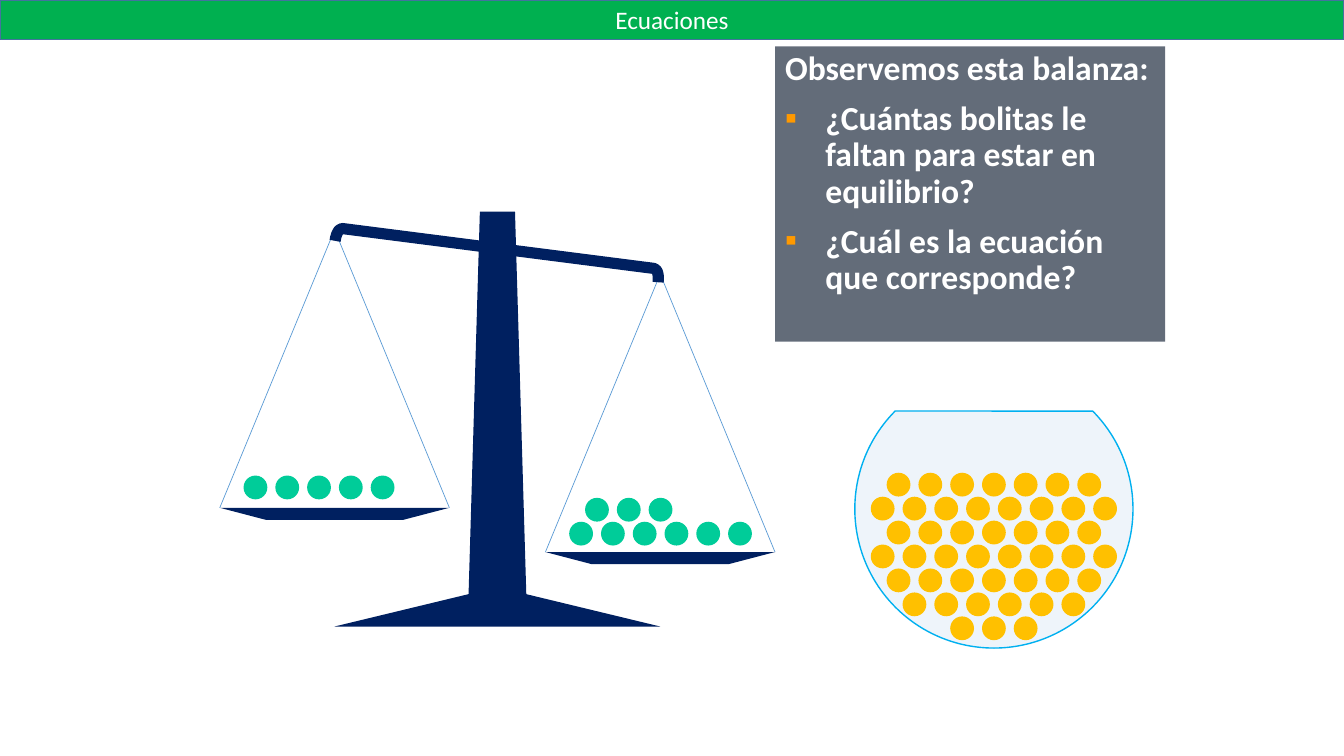
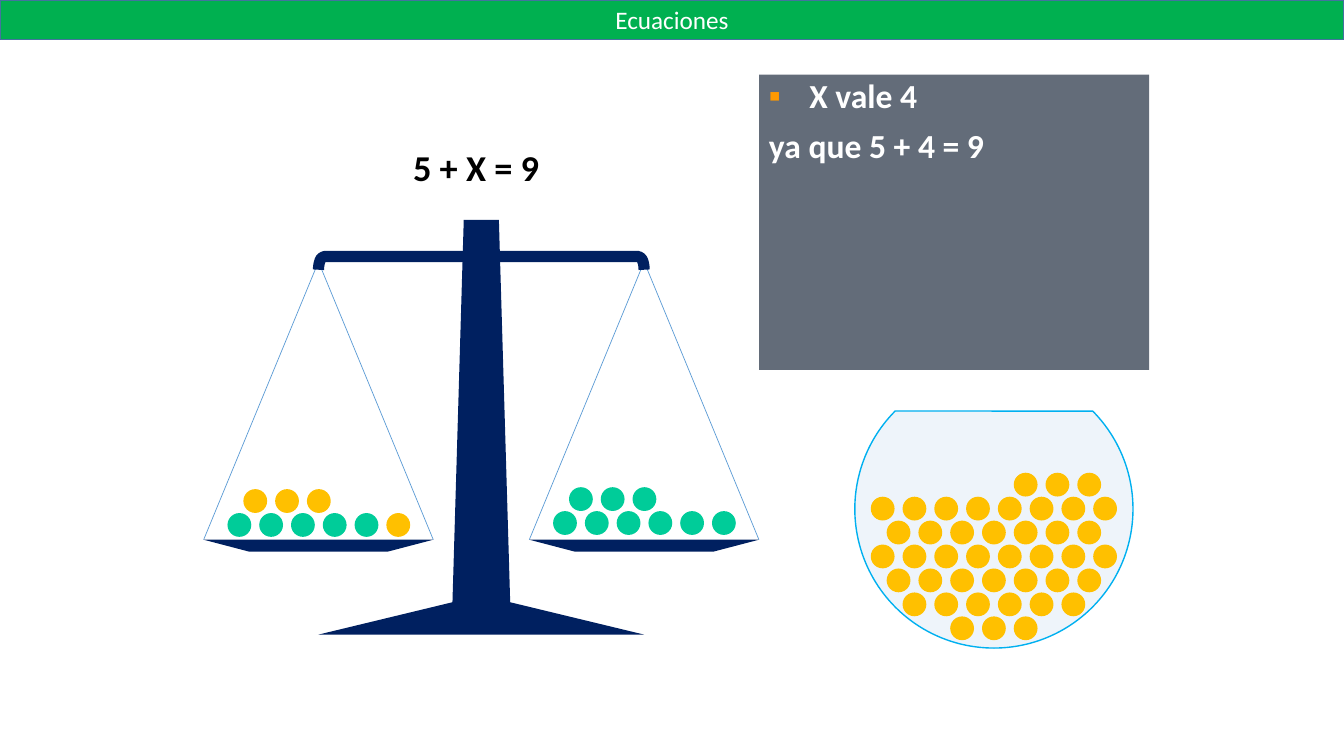
from lxml import etree
from pptx import Presentation
from pptx.dml.color import RGBColor
from pptx.enum.shapes import MSO_CONNECTOR, MSO_SHAPE
from pptx.enum.text import MSO_ANCHOR, PP_ALIGN
from pptx.oxml.ns import qn
from pptx.util import Pt

RECT, OVAL, CHORD = MSO_SHAPE.RECTANGLE, MSO_SHAPE.OVAL, MSO_SHAPE.CHORD
TRAP, PEAK = MSO_SHAPE.FLOWCHART_MANUAL_OPERATION, MSO_SHAPE.ISOSCELES_TRIANGLE
BEAM, LINE = MSO_SHAPE.LEFT_BRACKET, MSO_CONNECTOR.STRAIGHT
LEFT, MID = PP_ALIGN.LEFT, PP_ALIGN.CENTER
TOP, CENTER = MSO_ANCHOR.TOP, MSO_ANCHOR.MIDDLE

WIDE, HIGH = 960, 540
FONT = "Calibri"
WHITE, BLACK = "FFFFFF", "000000"
GREEN, EDGE = "00B050", "43739E"
SLATE, ORANGE = "333F50", "FF9900"
NAVY, BLUE, SKY = "002060", "5B9BD5", "00B0F0"
MINT, GOLD = "00CC99", "FFC000"
BALL, PITCH, STEP = 17, 22.7, 17.1
BOWL_ROWS = (7, 8, 7, 8, 7, 6, 3)


def color(code):
    """Turn a hex string into a colour."""
    return RGBColor.from_string(code)


def shape(shapes, kind, box, fill=None, line=None, width=1, alpha=None, turn=0):
    """Add a preset shape without shadow."""
    item = shapes.add_shape(kind, *[Pt(v) for v in box])
    item.shadow.inherit = False
    item.rotation = turn
    if fill:
        item.fill.solid()
        item.fill.fore_color.rgb = color(fill)
    else:
        item.fill.background()
    if alpha:
        tint = item.element.spPr.find(".//" + qn("a:srgbClr"))
        etree.SubElement(tint, qn("a:alpha")).set("val", str(alpha * 1000))
    if line:
        item.line.color.rgb = color(line)
        item.line.width = Pt(width)
    else:
        item.line.fill.background()
    return item


def cord(shapes, start, end):
    """Add one thin string of a pan."""
    item = shapes.add_connector(LINE, *[Pt(v) for v in (*start, *end)])
    item.line.color.rgb = color(BLUE)
    item.line.width = Pt(0.5)
    etree.SubElement(item.element.spPr, qn("a:effectLst"))


def write(item, lines, size, code, bold=False, align=LEFT, anchor=TOP):
    """Fill a shape with paragraphs of one style."""
    frame = item.text_frame
    frame.text = "\n".join(lines)
    frame.word_wrap = True
    frame.vertical_anchor = anchor
    for para in frame.paragraphs:
        para.alignment = align
        for run in para.runs:
            run.font.name = FONT
            run.font.size = Pt(size)
            run.font.bold = bold
            run.font.color.rgb = color(code)
    return frame.paragraphs


def bullet(para):
    """Give a paragraph an orange square and a hanging indent."""
    props = para._p.get_or_add_pPr()
    props.set("marL", str(Pt(28.8)))
    props.set("indent", str(Pt(-28.8)))
    tint = etree.SubElement(props, qn("a:buClr"))
    etree.SubElement(tint, qn("a:srgbClr")).set("val", ORANGE)
    etree.SubElement(props, qn("a:buFont")).set("typeface", FONT)
    etree.SubElement(props, qn("a:buChar")).set("char", "▪")


def header(slide):
    """Add the green title band."""
    band = shape(slide.shapes, RECT, (0, 0, WIDE, 28.3), GREEN, EDGE)
    write(band, ["Ecuaciones"], 18, WHITE, align=MID, anchor=CENTER)


def panel(slide, x, y, lines, marked):
    """Add the grey text panel; marked holds the bulleted lines."""
    item = shape(slide.shapes, RECT, (x, y, 278.6, 211), SLATE, alpha=76)
    for i, para in enumerate(write(item, lines, 24, WHITE, bold=True)):
        para.line_spacing = 0.9
        para.space_before = Pt(10)
        if i in marked:
            bullet(para)


def balls(shapes, x, y, codes):
    """Add a row of balls, one for each colour."""
    for i, code in enumerate(codes):
        shape(shapes, OVAL, (x + i * PITCH, y, BALL, BALL), code)


def bowl(slide, x, y, size, taken=0):
    """Add the bowl of balls, with some taken from its top row."""
    shapes = slide.shapes.add_group_shape().shapes
    glass = shape(shapes, CHORD, (x, y, size, size), BLUE, SKY, alpha=10, turn=270)
    glass.adjustments[0] = 27.18
    glass.adjustments[1] = 188.88
    for i, count in enumerate(BOWL_ROWS):
        gone = 0 if i else taken
        left = x + (size - BALL - (count - 1) * PITCH) / 2 + gone * PITCH
        balls(shapes, left, y + 73.5 + i * STEP, [GOLD] * (count - gone))


def pan(shapes, x, y, lift, rows):
    """Hang a pan from a point; lift is the top of its lowest ball row."""
    half, drop = 82, 198.5
    base = y + drop
    shape(shapes, TRAP, (x - half, base, 2 * half, 8.6), NAVY)
    for side in (-half, half):
        cord(shapes, (x + side, base), (x, y))
    for i, codes in enumerate(rows):
        balls(shapes, x - half + 17 + i * PITCH / 2, base - lift - i * STEP, codes)


def scale(slide, x, y, loads, tilt=0):
    """Add the balance; each load is a drop, a lift and rows of balls."""
    shapes = slide.shapes.add_group_shape().shapes
    span, thick, post = 232.6, 9.4, 41.8
    mid = x + span / 2
    for i, (drop, lift, rows) in enumerate(loads):
        pan(shapes, x + i * span, y + drop, lift, rows)
    shape(shapes, PEAK, (x, y + 268.2, span, 28.1), NAVY)
    shape(shapes, TRAP, (mid - post / 2, y, post, 283), NAVY, turn=180)
    box = (mid - thick / 2, y + 31 - span / 2, thick, span)
    beam = shape(shapes, BEAM, box, line=NAVY, width=8, turn=90 + tilt)
    beam.adjustments[0] = 0.416


def formula(slide, x, y, text):
    """Add the equation above the balance."""
    item = slide.shapes.add_textbox(Pt(x), Pt(y), Pt(425.5), Pt(49))
    write(item, [text], 26, BLACK, bold=True, align=MID)


def ask(slide):
    """Build the slide with the tilted balance."""
    panel(slide, 553.7, 33.1, [
        "Observemos esta balanza:",
        "¿Cuántas bolitas le faltan para estar en equilibrio?",
        "¿Cuál es la ecuación que corresponde?",
    ], (1, 2))
    scale(slide, 239, 151.2, [
        (13, 23, [[MINT] * 5]),
        (44.6, 21.6, [[MINT] * 6, [MINT] * 3]),
    ], tilt=7.3)
    bowl(slide, 610.6, 264.2, 198.7)
    header(slide)


def solve(slide):
    """Build the slide with the level balance."""
    bowl(slide, 610.6, 264.2, 198.7, taken=4)
    scale(slide, 227.5, 157, [
        (30, 19, [[MINT] * 5 + [GOLD], [GOLD] * 3]),
        (30, 20.4, [[MINT] * 6, [MINT] * 3]),
    ])
    panel(slide, 542.2, 53.3, ["X vale 4", "ya que 5 + 4 = 9"], (0,))
    formula(slide, 127.4, 100.1, "5 + X = 9")
    header(slide)


deck = Presentation()
deck.slide_width, deck.slide_height = Pt(WIDE), Pt(HIGH)
for build in (ask, solve):
    build(deck.slides.add_slide(deck.slide_layouts[6]))
deck.save("out.pptx")
